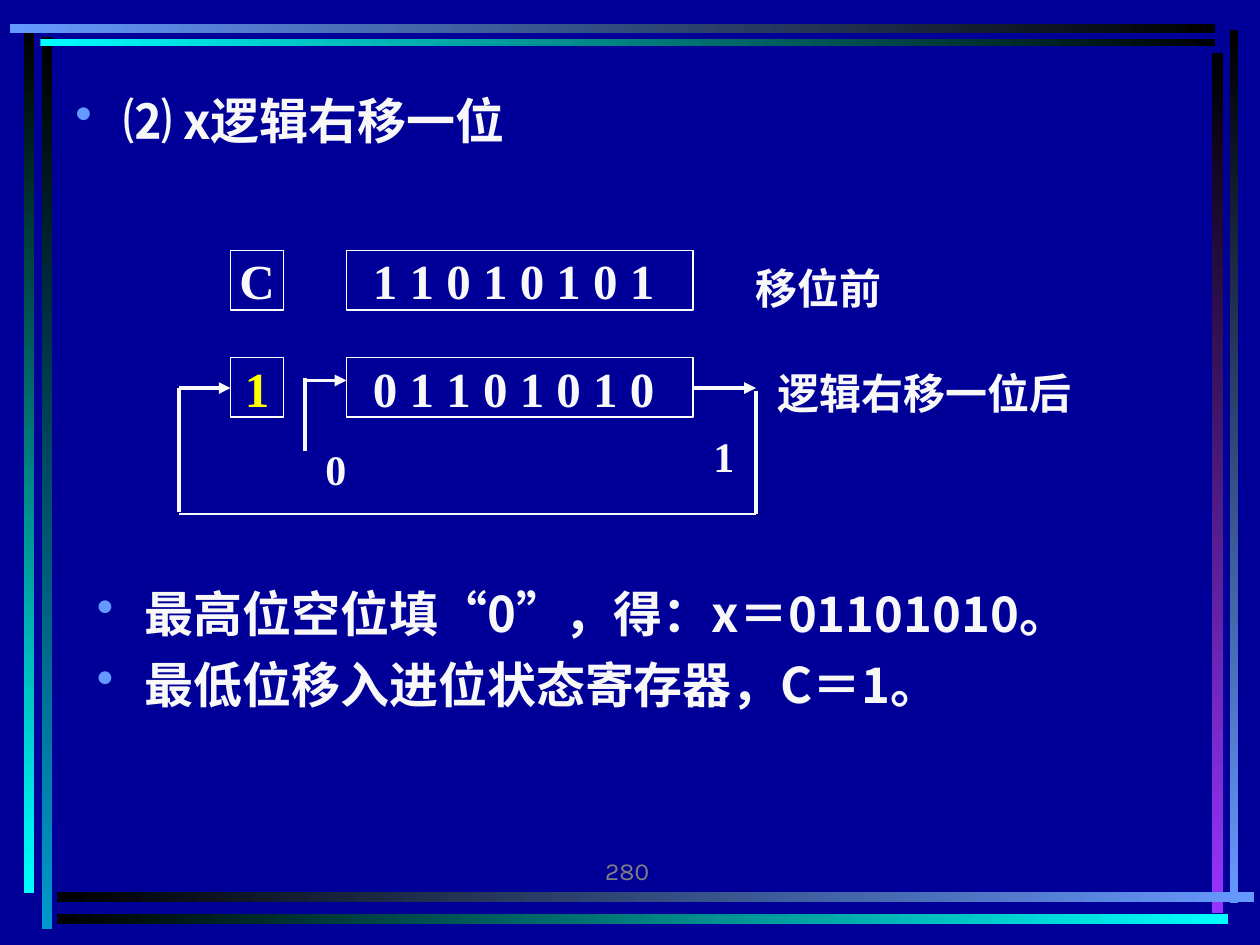
from dataclasses import dataclass

from lxml import etree
from pptx import Presentation
from pptx import util as u
from pptx.dml.color import RGBColor
from pptx.enum import shapes, text
from pptx.oxml import ns

Inches, Pt = u.Inches, u.Pt


@dataclass(frozen=True)
class Theme:
    background: str = "000099"
    ink: str = "F8F8F8"
    outline: str = "FFFFFF"
    accent: str = "FFFF00"
    muted: str = "808080"
    black: str = "000000"
    blue: str = "6699FF"
    cyan: str = "00FFFF"
    teal: str = "0099CC"
    purple: str = "9933FF"
    sans: str = "Noto Sans CJK SC"
    serif: str = "Times New Roman"
    number_font: str = "Karla"
    body: int = 28
    label: int = 24
    small: int = 14
    thick: float = 2.25
    thin: float = 0.75


THEME = Theme()
CENTER, RIGHT = text.PP_ALIGN.CENTER, text.PP_ALIGN.RIGHT
MIDDLE, TOP, BOTTOM = text.MSO_ANCHOR.MIDDLE, text.MSO_ANCHOR.TOP, text.MSO_ANCHOR.BOTTOM


def color(value):
    return RGBColor.from_string(value)


def add_element(parent, tag, **attributes):
    return etree.SubElement(parent, ns.qn(tag), attributes)


def add_bullet(paragraph):
    properties = paragraph._p.get_or_add_pPr()
    indent = Inches(0.38)
    properties.set("marL", str(indent))
    properties.set("indent", str(-indent))
    bullet_color = add_element(properties, "a:buClr")
    add_element(bullet_color, "a:srgbClr", val=THEME.blue)
    add_element(properties, "a:buChar", char="•")


def write_text(shape, paragraphs, font=THEME.serif, size=THEME.label, ink=THEME.ink,
               bold=True, align=None, anchor=MIDDLE, inset=(0, 0), bullet=False):
    """Fill a shape; each paragraph is a string or a list of (text, font) runs."""
    frame = shape.text_frame
    frame.word_wrap = True
    frame.vertical_anchor = anchor
    frame.margin_left = frame.margin_right = Inches(inset[0])
    frame.margin_top = frame.margin_bottom = Inches(inset[1])
    for index, content in enumerate(paragraphs):
        paragraph = frame.add_paragraph() if index else frame.paragraphs[0]
        if bullet:
            add_bullet(paragraph)
        if index:
            paragraph.space_before = Pt(7)
        paragraph.alignment = align
        runs = [(content, font)] if isinstance(content, str) else content
        for words, face in runs:
            run = paragraph.add_run()
            run.text = words
            run.font.size, run.font.bold = Pt(size), bold
            run.font.color.rgb = color(ink)
            run.font.name = face
            add_element(run._r.get_or_add_rPr(), "a:ea", typeface=THEME.sans)


def add_label(slide, box, paragraphs, **formatting):
    shape = slide.shapes.add_textbox(*map(Inches, box))
    write_text(shape, paragraphs, **formatting)


def add_register(slide, box, bits, ink=THEME.ink):
    shape = slide.shapes.add_shape(shapes.MSO_SHAPE.RECTANGLE, *map(Inches, box))
    shape.shadow.inherit = False
    shape.fill.background()
    shape.line.color.rgb = color(THEME.outline)
    shape.line.width = Pt(THEME.thin)
    write_text(shape, [bits], size=THEME.body, ink=ink, align=CENTER)


def add_line(slide, start, end, width=THEME.thick, arrow=False):
    line = slide.shapes.add_connector(
        shapes.MSO_CONNECTOR.STRAIGHT, *map(Inches, (*start, *end)))
    line.line.color.rgb = color(THEME.ink)
    line.line.width = Pt(width)
    if arrow:
        add_element(line.line._get_or_add_ln(), "a:tailEnd", type="triangle")
    add_element(line._element.spPr, "a:effectLst")


def add_bar(slide, box, first, last):
    """Bar with a gradient along its longer side."""
    bar = slide.shapes.add_shape(shapes.MSO_SHAPE.RECTANGLE, *map(Inches, box))
    bar.shadow.inherit = False
    bar.line.fill.background()
    bar.fill.gradient()
    bar.fill.gradient_angle = 270 if box[3] > box[2] else 0
    for stop, position, value in zip(bar.fill.gradient_stops, (0, 1), (first, last)):
        stop.position = position
        stop.color.rgb = color(value)


def draw_frame(slide, left, top, width, height):
    right, bottom = left + width, top + height
    bars = [
        # Left side
        ((left + 0.25, top + 0.1, 0.08, 7.08), THEME.black, THEME.teal),
        ((left + 0.11, top + 0.06, 0.08, 6.84), THEME.black, THEME.cyan),
        # Right side
        ((right - 0.19, top + 0.05, 0.07, 6.93), THEME.black, THEME.blue),
        ((right - 0.33, top + 0.23, 0.09, 6.83), THEME.black, THEME.purple),
        # Bottom
        ((left + 0.37, bottom - 0.25, 9.5, 0.08), THEME.black, THEME.blue),
        ((left + 0.37, bottom - 0.08, 9.3, 0.08), THEME.black, THEME.cyan),
        # Top
        ((left + 0.24, top + 0.12, 9.32, 0.06), THEME.cyan, THEME.black),
        ((left, top, 9.56, 0.07), THEME.blue, THEME.black),
    ]
    for box, first, last in bars:
        add_bar(slide, box, first, last)


def draw_bullets(slide, box, paragraphs):
    add_label(slide, box, paragraphs, font=THEME.sans, size=THEME.body,
              anchor=TOP, inset=(0.1, 0.05), bullet=True)


def draw_shift_diagram(slide, left, top, width, height):
    right, bottom = left + width, top + height
    carry_left, carry_width = left + 0.41, 0.42
    bits_left, bits_width, row_height = left + 1.33, 2.75, 0.47
    after = top + 0.85
    wire = after + 0.24

    # Carry and register before and after the shift
    for row, carry, bits, ink in ((top, "C", "1 1 0 1 0 1 0 1 ", THEME.ink),
                                  (after, "1", "0 1 1 0 1 0 1 0 ", THEME.accent)):
        add_register(slide, (carry_left, row, carry_width, row_height), carry, ink)
        add_register(slide, (bits_left, row, bits_width, row_height), bits)
    add_label(slide, (right, top + 0.09, 1.33, 0.4), ["移位前"])
    add_label(slide, (right + 0.17, after + 0.08, 2.42, 0.4), ["逻辑右移一位后"],
              font=THEME.sans)

    # Zero entering the highest bit
    zero_left = left + 1
    add_line(slide, (zero_left, wire - 0.06), (bits_left, wire - 0.06), arrow=True)
    add_line(slide, (zero_left, wire - 0.08), (zero_left, wire + 0.5))
    add_label(slide, (zero_left + 0.08, after + 0.68, 0.33, 0.4), ["0"],
              align=CENTER, anchor=TOP)

    # Lowest bit travelling round to the carry
    add_label(slide, (right - 0.42, after + 0.58, 0.33, 0.4), ["1"],
              align=CENTER, anchor=TOP)
    add_line(slide, (bits_left + bits_width, wire), (right, wire), arrow=True)
    add_line(slide, (right, wire + 0.02), (right, bottom))
    add_line(slide, (right, bottom), (left, bottom), width=THEME.thin)
    add_line(slide, (left, bottom - 0.02), (left, wire))
    add_line(slide, (left, wire), (carry_left, wire), arrow=True)


def main():
    presentation = Presentation()
    presentation.slide_width, presentation.slide_height = Inches(10), Inches(7.5)
    slide = presentation.slides.add_slide(presentation.slide_layouts[6])
    slide.background.fill.solid()
    slide.background.fill.fore_color.rgb = color(THEME.background)

    draw_frame(slide, 0.08, 0.19, 9.87, 7.14)
    add_label(slide, (3.17, 6.58, 2.08, 0.5), ["280"], font=THEME.number_font,
              size=THEME.small, ink=THEME.muted, bold=False, align=RIGHT,
              anchor=BOTTOM, inset=(0.1, 0.05))
    draw_shift_diagram(slide, 1.42, 1.99, 4.58, 2.09)
    draw_bullets(slide, (0.67, 4.58, 9.08, 1.42), [
        [("最高位空位填", THEME.sans), ("“", THEME.serif), ("0", THEME.sans),
         ("”", THEME.serif), ("，得：x＝01101010。", THEME.sans)],
        "最低位移入进位状态寄存器，C＝1。",
    ])
    draw_bullets(slide, (0.5, 0.67, 9.08, 0.83), ["⑵ x逻辑右移一位"])
    presentation.save("out.pptx")


if __name__ == "__main__":
    main()
